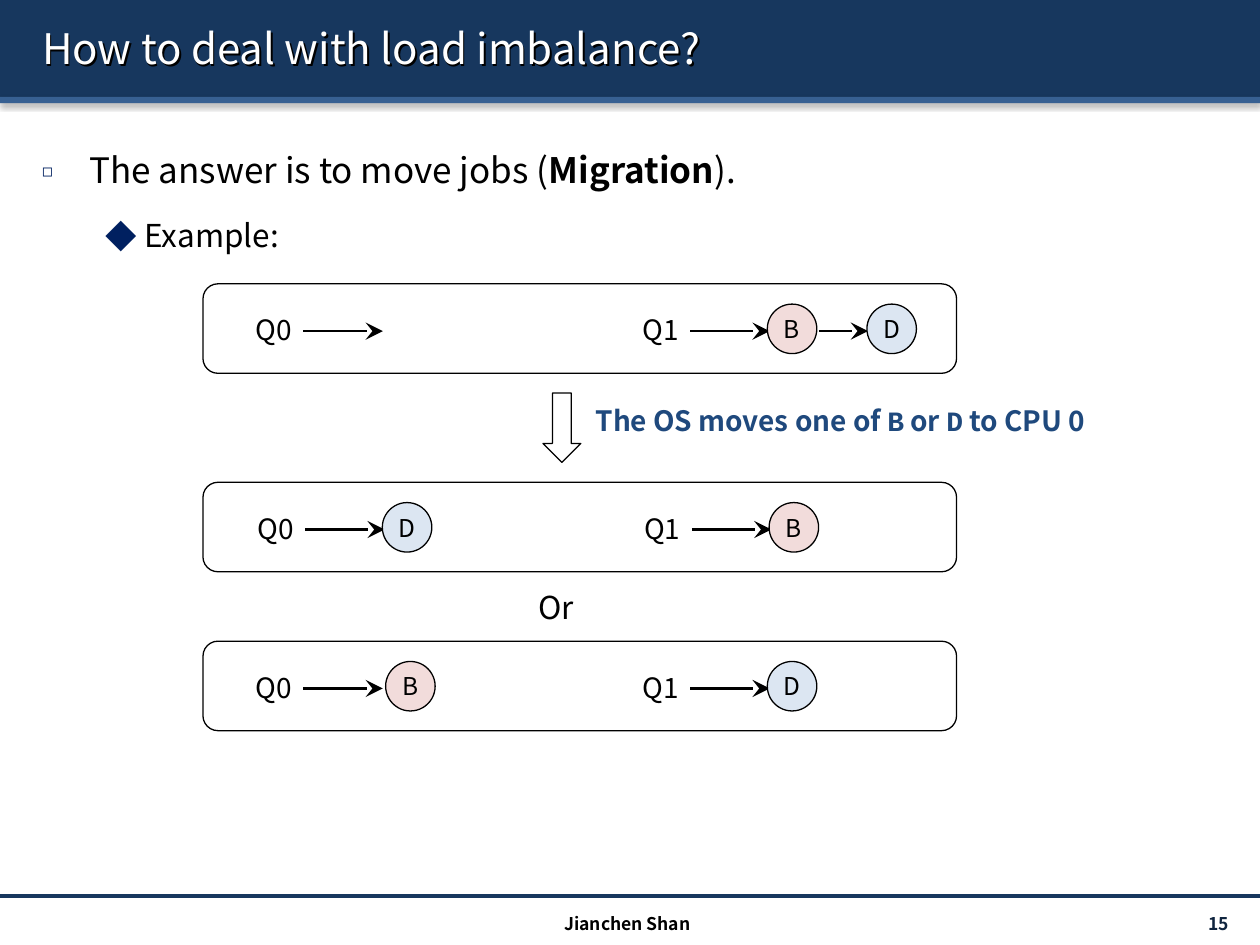
from pptx import Presentation
from pptx.util import Pt
from pptx.dml.color import RGBColor
from pptx.enum.shapes import MSO_SHAPE as Kind, MSO_CONNECTOR as Link
from pptx.enum.text import PP_ALIGN as Align, MSO_ANCHOR as Anchor
from pptx.oxml import parse_xml
from pptx.oxml.ns import qn
from lxml.etree import SubElement as Sub

NS = 'xmlns:a="http://schemas.openxmlformats.org/drawingml/2006/main"'
SANS, MONO = "Noto Sans CJK KR", "Courier New"
NAVY, BLACK = "17375E", "000000"
FILLS = {"B": "F2DCDB", "D": "DCE6F2"}


def hue(code):
    """Turn a hex string into a colour."""
    return RGBColor.from_string(code)


def add_shade(form, blur, dist, angle, alpha):
    """Give a shape one black shadow."""
    form.shadow.inherit = False
    props = form._element.spPr
    props.replace(props.find(qn("a:effectLst")), parse_xml(
        f'<a:effectLst {NS}><a:outerShdw blurRad="{Pt(blur)}" dist="{Pt(dist)}" '
        f'dir="{angle * 60000}" algn="ctr" rotWithShape="0"><a:srgbClr val="000000">'
        f'<a:alpha val="{alpha * 1000}"/></a:srgbClr></a:outerShdw></a:effectLst>'))


def add_run(para, words, size, color=BLACK, bold=False, face=SANS):
    """Append one styled run to a paragraph."""
    run = para.add_run()
    run.text = words
    font = run.font
    font.size, font.bold, font.name = Pt(size), bold, face
    font.color.rgb = hue(color)
    Sub(font._element, qn("a:ea")).set("typeface", face)


def add_text(slide, box, runs, align=Align.LEFT, anchor=Anchor.TOP, wrap=True):
    """Place a text box holding one paragraph of runs."""
    form = slide.shapes.add_textbox(*map(Pt, box))
    frame = form.text_frame
    frame.word_wrap, frame.vertical_anchor = wrap, anchor
    para = frame.paragraphs[0]
    para.alignment = align
    for run in runs:
        add_run(para, *run)
    return form


def add_form(slide, kind, box, fill=None, edge=BLACK):
    """Place a preset shape without a shadow."""
    form = slide.shapes.add_shape(kind, *map(Pt, box))
    form.shadow.inherit = False
    if fill:
        form.fill.solid()
        form.fill.fore_color.rgb = hue(fill)
    else:
        form.fill.background()
    if edge:
        form.line.color.rgb, form.line.width = hue(edge), Pt(0.75)
    else:
        form.line.fill.background()
    return form


def add_line(slide, x, y, span, color=BLACK, width=1.5, head=True):
    """Draw a level line, with an arrowhead if wanted."""
    link = slide.shapes.add_connector(Link.STRAIGHT, Pt(x), Pt(y), Pt(x + span), Pt(y))
    link.line.color.rgb, link.line.width = hue(color), Pt(width)
    if head:
        tip = Sub(link.line._get_or_add_ln(), qn("a:tailEnd"))
        for key, value in (("type", "stealth"), ("w", "lg"), ("len", "lg")):
            tip.set(key, value)
    Sub(link._element.spPr, qn("a:effectLst"))


def add_job(slide, x, y, name):
    """Draw a job as a lettered circle."""
    ball = add_form(slide, Kind.OVAL, (x, y, 28.3, 28.3), FILLS[name])
    frame = ball.text_frame
    frame.margin_left = frame.margin_right = 0
    frame.vertical_anchor = Anchor.MIDDLE
    para = frame.paragraphs[0]
    para.alignment = Align.CENTER
    add_run(para, name, 14)


def add_queue(slide, x, y, name, jobs, gap=78.5):
    """Draw a queue label, its arrow and its chain of jobs."""
    add_text(slide, (x, y + 13, 36, 26.6), [(name, 16)], wrap=False)
    add_line(slide, x + 34.4, y + 27, 45.4)
    for i, job in enumerate(jobs):
        left = x + gap + 56.9 * i
        if i:
            add_line(slide, left - 27.5, y + 27, 28.1)
        add_job(slide, left, y + 11.6, job)


def add_state(slide, x, y, first, second, shift=0, gap=78.5):
    """Draw a framed pair of queues."""
    add_queue(slide, x + 23 + shift, y, "Q0", first, gap)
    add_queue(slide, x + 244 + shift, y, "Q1", second)
    add_form(slide, Kind.ROUNDED_RECTANGLE, (x, y, 430.6, 51.1))


def add_head(slide, x, y, wide):
    """Draw the title band."""
    for top, high, fill in ((0, 55.4, NAVY), (55.4, 3.6, "376092")):
        bar = add_form(slide, Kind.RECTANGLE, (x, y + top, wide, high), fill, None)
        add_shade(bar, 3.1, 1.6, 90, 38)
    title = add_text(slide, (x + 17, y + 4.3, wide - 28, 46.1),
                     [("How to deal with load imbalance?", 24, "FFFFFF")],
                     anchor=Anchor.MIDDLE)
    add_shade(title, 0, 1.5, 45, 100)


def add_body(slide, x, y, wide, high):
    """Write the bulleted lines."""
    frame = add_text(slide, (x, y, wide, high), []).text_frame
    lines = (
        (20, 27, 27, "◻", 50, (("The answer is to move jobs (", False),
                               ("Migration", True), (").", False))),
        (18, 58.5, 22.5, "◆", 100, (("Example:", False),)),
    )
    for i, (size, left, hang, mark, scale, runs) in enumerate(lines):
        para = frame.add_paragraph() if i else frame.paragraphs[0]
        para.line_spacing, para.space_before = 1.5, Pt(size * 0.2)
        props = para._p.get_or_add_pPr()
        props.set("marL", str(Pt(left)))
        props.set("indent", str(-Pt(hang)))
        Sub(Sub(props, qn("a:buClr")), qn("a:srgbClr")).set("val", "002060")
        Sub(props, qn("a:buSzPct")).set("val", str(scale * 1000))
        Sub(props, qn("a:buFont")).set("typeface", SANS)
        Sub(props, qn("a:buChar")).set("char", mark)
        for words, bold in runs:
            add_run(para, words, size, bold=bold)


def add_move(slide, x, y):
    """Draw the down arrow and its note."""
    add_form(slide, Kind.DOWN_ARROW, (x, y, 21.6, 39.6), "FFFFFF")
    parts = (("The OS moves one of ", SANS), ("B", MONO), (" or ", SANS),
             ("D", MONO), (" to CPU 0", SANS))
    add_text(slide, (x + 23, y + 2.2, 367, 26.6),
             [(words, 16, "1F497D", True, face) for words, face in parts])


def add_foot(slide, x, y, wide):
    """Draw the footer rule, name and page number."""
    add_line(slide, x, y, wide, NAVY, 2, False)
    add_text(slide, (x + 239, y + 6.5, 239, 17.3),
             [("Jianchen Shan", 10, BLACK, True)], Align.CENTER)
    add_text(slide, (x + 627.4, y + 7.2, 84.2, 17.3),
             [("15 ", 10, "0F243E", True)], Align.RIGHT, Anchor.MIDDLE)


def main():
    """Build the slide and save it."""
    deck = Presentation()
    deck.slide_width, deck.slide_height = Pt(720), Pt(540)
    slide = deck.slides.add_slide(deck.slide_layouts[6])
    add_head(slide, 0, 0, 720)
    add_foot(slide, 0, 511.9, 720)
    add_body(slide, 17, 69.4, 692, 433.4)
    add_state(slide, 116, 162.2, "", "BD")
    add_move(slide, 310.3, 224.6)
    add_state(slide, 116, 275.6, "D", "B", shift=1)
    add_text(slide, (286.4, 332.6, 62.6, 28.8), [("Or", 18)], Align.CENTER)
    add_state(slide, 116, 366.4, "B", "D", gap=81.4)
    deck.save("out.pptx")


main()
